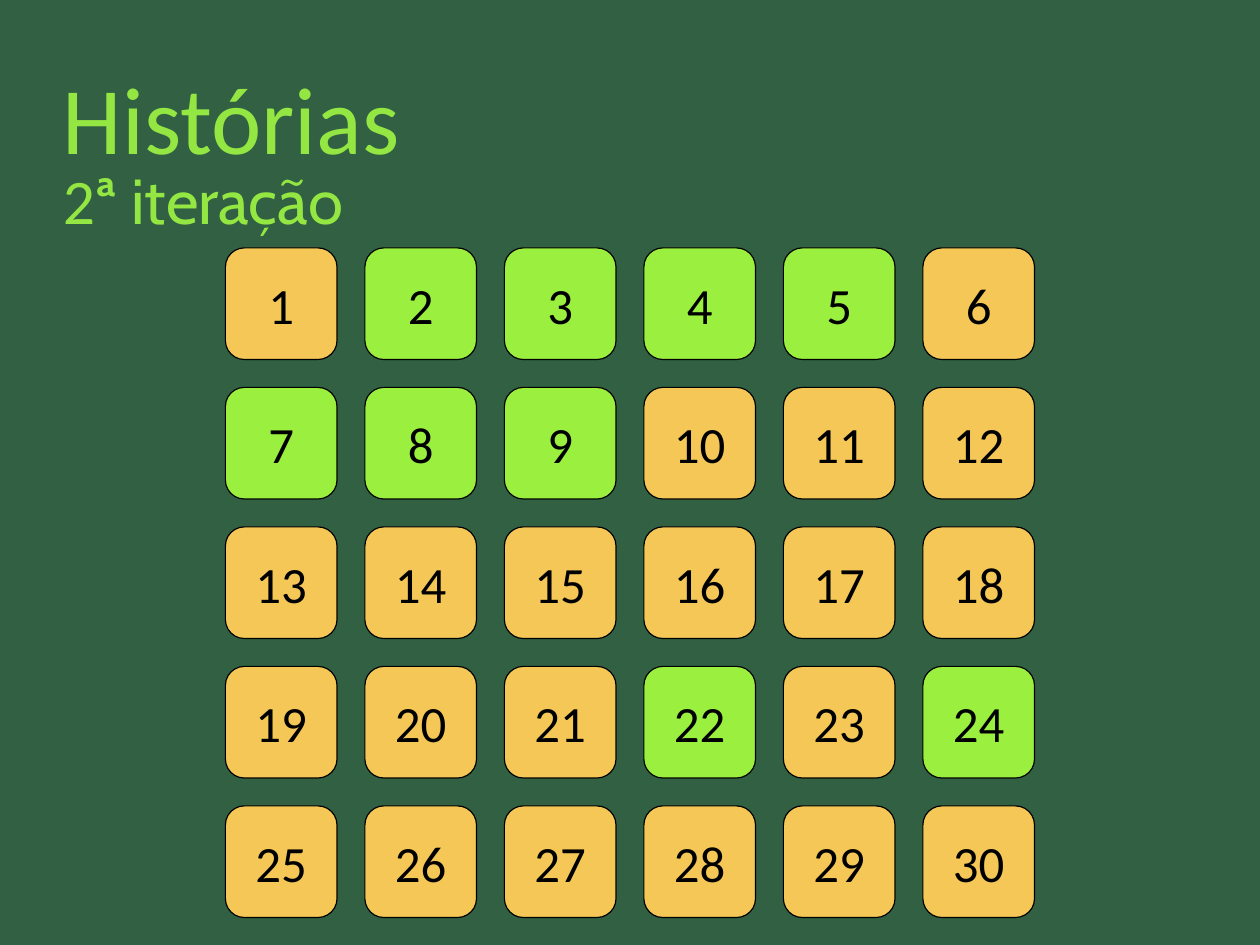
import pptx
import pptx.dml.color
import pptx.enum.shapes
import pptx.enum.text
import pptx.util
from dataclasses import dataclass
from pptx.util import Cm


@dataclass(frozen=True)
class Theme:
    background: str = "316142"
    heading: str = "94E742"
    done: str = "9AEF3F"
    pending: str = "F4C757"
    ink: str = "000000"
    font: str = "Calibri"
    accent_font: str = "Cabin"
    title_size: int = 60
    subtitle_size: int = 40
    card_size: int = 32


def color(code):
    return pptx.dml.color.RGBColor.from_string(code)


theme = Theme()
deck = pptx.Presentation()
deck.slide_width = Cm(28)
deck.slide_height = Cm(21)
page = deck.slides.add_slide(deck.slide_layouts[6])
page.background.fill.solid()
page.background.fill.fore_color.rgb = color(theme.background)

headings = [
    (0.84, 3.51, theme.title_size, [("Histórias", theme.font)]),
    (3.1, 2.64, theme.subtitle_size, [("2", theme.font), ("ª iteração", theme.accent_font)]),
]
for top, height, size, pieces in headings:
    box = page.shapes.add_textbox(Cm(1.4), Cm(top), Cm(25.2), Cm(height))
    frame = box.text_frame
    frame.word_wrap = True
    frame.vertical_anchor = pptx.enum.text.MSO_ANCHOR.MIDDLE
    frame.margin_left = frame.margin_right = frame.margin_top = frame.margin_bottom = 0
    para = frame.paragraphs[0]
    para.font.size = pptx.util.Pt(size)
    para.font.color.rgb = color(theme.heading)
    for text, font in pieces:
        span = para.add_run()
        span.text = text
        span.font.name = font

done_stories = {2, 3, 4, 5, 7, 8, 9, 22, 24}
columns, rows = 6, 5
grid_left, grid_top = 5.01, 5.51
card_side, pitch = 2.48, 3.1

for index in range(columns * rows):
    row, column = divmod(index, columns)
    story = index + 1
    card = page.shapes.add_shape(
        pptx.enum.shapes.MSO_SHAPE.ROUNDED_RECTANGLE,
        Cm(grid_left + column * pitch), Cm(grid_top + row * pitch),
        Cm(card_side), Cm(card_side),
    )
    card.shadow.inherit = False
    card.adjustments[0] = 0.17
    card.fill.solid()
    card.fill.fore_color.rgb = color(theme.done if story in done_stories else theme.pending)
    card.line.color.rgb = color(theme.ink)
    card.line.width = pptx.util.Pt(0)
    card.text_frame.vertical_anchor = pptx.enum.text.MSO_ANCHOR.MIDDLE
    para = card.text_frame.paragraphs[0]
    para.text = str(story)
    para.alignment = pptx.enum.text.PP_ALIGN.CENTER
    para.font.name = theme.font
    para.font.size = pptx.util.Pt(theme.card_size)
    para.font.color.rgb = color(theme.ink)

deck.save("out.pptx")
